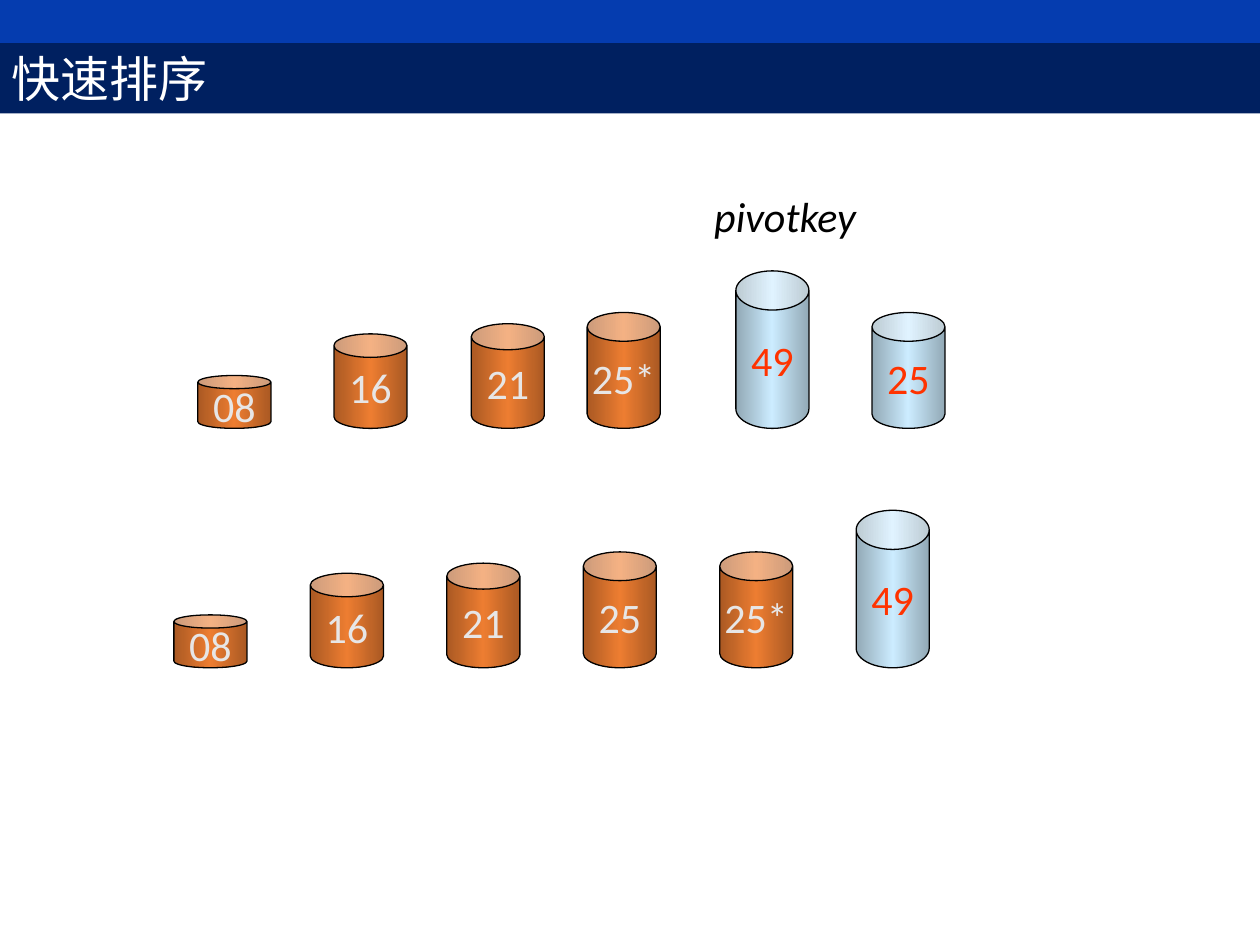
from copy import deepcopy
from dataclasses import dataclass

from pptx import Presentation
from pptx import util as u
from pptx.dml.color import RGBColor
from pptx.enum import shapes, text


@dataclass(frozen=True)
class Theme:
    font: str = "Calibri"
    title_size: int = 28
    key_size: int = 24
    top_strip: str = "053CAF"
    title_band: str = "002060"
    title_text: str = "FFFFFF"
    ink: str = "000000"
    sorted_edge: str = "AA5923"
    sorted_middle: str = "ED7D31"
    sorted_text: str = "E7E6E6"
    open_edge: str = "92A9B6"
    open_middle: str = "CCECFF"
    open_text: str = "FF3300"


THEME = Theme()
CAN_WIDTH = 0.58
CAN_HEIGHTS = {"08": 0.42, "16": 0.75, "21": 0.83, "25": 0.92, "25*": 0.92, "49": 1.25}


def rgb(value):
    return RGBColor.from_string(value)


def place(item, left, top, width, height):
    item.left, item.top = u.Inches(left), u.Inches(top)
    item.width, item.height = u.Inches(width), u.Inches(height)


def paint(item, color):
    item.fill.solid()
    item.fill.fore_color.rgb = rgb(color)


def write(item, words, size=THEME.key_size, color=THEME.ink, align=text.PP_ALIGN.LEFT,
          anchor=text.MSO_ANCHOR.MIDDLE, italic=False, wrap=True):
    frame = item.text_frame
    frame.word_wrap = wrap
    frame.auto_size = text.MSO_AUTO_SIZE.NONE
    frame.vertical_anchor = anchor
    paragraph = frame.paragraphs[0]
    paragraph.alignment = align
    run = paragraph.add_run()
    run.text = words
    run.font.name = THEME.font
    run.font.size = u.Pt(size)
    run.font.italic = italic
    run.font.color.rgb = rgb(color)


def shade(item, edge, middle):
    item.fill.gradient()
    item.fill.gradient_angle = 0
    stop_list = item._element.spPr.xpath("./a:gradFill/a:gsLst")[0]
    stop_list.insert(1, deepcopy(stop_list[0]))
    for stop, position, color in zip(item.fill.gradient_stops, (0, 0.5, 1), (edge, middle, edge)):
        stop.position = position
        stop.color.rgb = rgb(color)


def add_header(slide, title):
    strip = slide.shapes.add_shape(shapes.MSO_SHAPE.RECTANGLE, 0, 0, u.Inches(10), u.Inches(0.34))
    strip.shadow.inherit = False
    paint(strip, THEME.top_strip)
    strip.line.fill.background()
    band = slide.shapes.title
    place(band, -0.01, 0.34, 10.03, 0.56)
    paint(band, THEME.title_band)
    write(band, title, size=THEME.title_size, color=THEME.title_text)


def add_can(slide, key, left, base, is_sorted):
    height = CAN_HEIGHTS[key]
    can = slide.shapes.add_shape(
        shapes.MSO_SHAPE.CAN, u.Inches(left), u.Inches(base - height),
        u.Inches(CAN_WIDTH), u.Inches(height))
    can.shadow.inherit = False
    can.adjustments[0] = max(0.25, height * 3 / 7)
    can.line.color.rgb = rgb(THEME.ink)
    can.line.width = u.Pt(0.75)
    if is_sorted:
        edge, middle, color = THEME.sorted_edge, THEME.sorted_middle, THEME.sorted_text
    else:
        edge, middle, color = THEME.open_edge, THEME.open_middle, THEME.open_text
    shade(can, edge, middle)
    write(can, key, color=color, align=text.PP_ALIGN.CENTER, wrap=False)


def add_row(slide, keys, lefts, base, sorted_count):
    for index, (key, left) in enumerate(zip(keys, lefts)):
        add_can(slide, key, left, base, index < sorted_count)


def add_label(slide, words, left, top, width, height):
    label = slide.shapes.add_textbox(
        u.Inches(left), u.Inches(top), u.Inches(width), u.Inches(height))
    write(label, words, italic=True, anchor=text.MSO_ANCHOR.TOP)


def main():
    deck = Presentation()
    deck.slide_width, deck.slide_height = u.Inches(10), u.Inches(7.5)
    slide = deck.slides.add_slide(deck.slide_layouts[5])
    add_header(slide, "快速排序")
    add_label(slide, "pivotkey", 5.57, 1.46, 1.34, 0.5)
    add_row(slide, ["08", "16", "21", "25*", "49", "25"],
            [1.57, 2.65, 3.74, 4.66, 5.84, 6.92], base=3.4, sorted_count=4)
    even_lefts = [1.38 + 1.083 * column for column in range(6)]
    add_row(slide, ["08", "16", "21", "25", "25*", "49"], even_lefts, base=5.3, sorted_count=5)
    deck.save("out.pptx")


if __name__ == "__main__":
    main()
